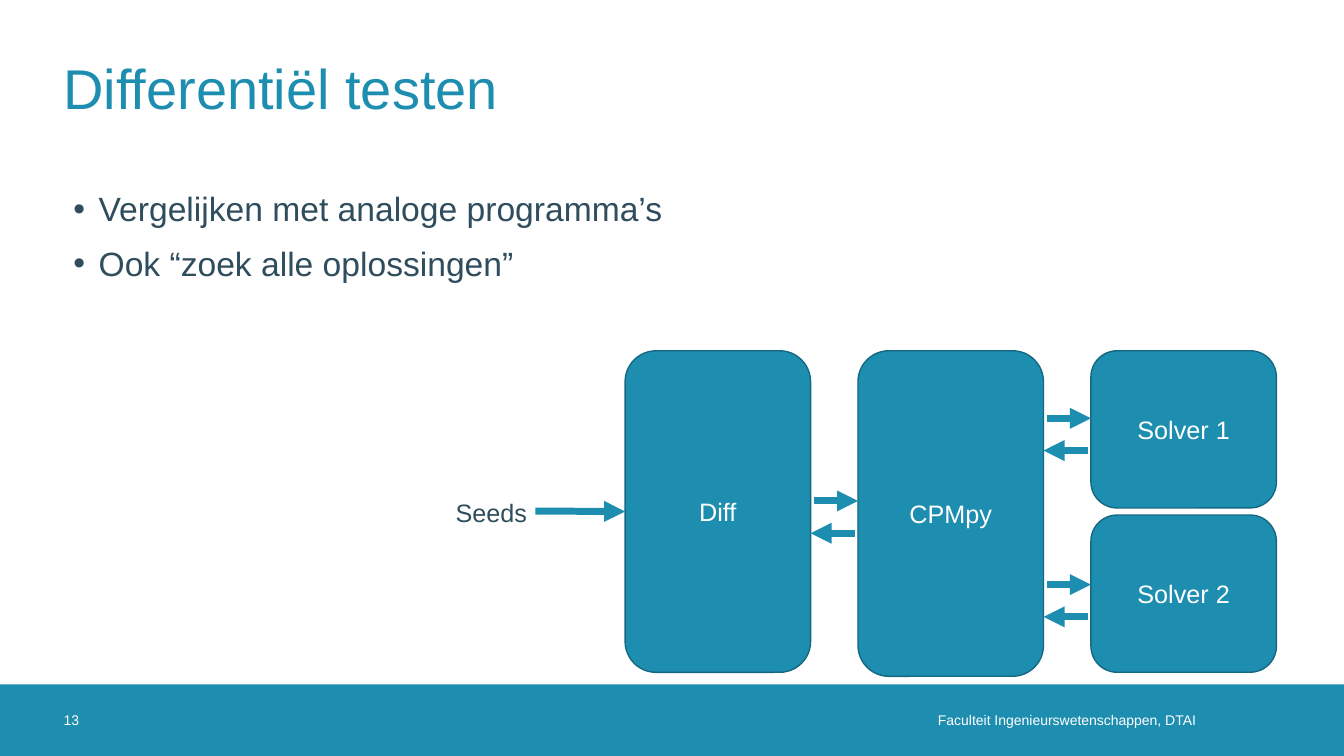
from lxml.etree import SubElement
from pptx import Presentation
from pptx.dml.color import RGBColor
from pptx.enum.shapes import MSO_CONNECTOR as Connector, MSO_SHAPE as Shape
from pptx.enum.text import MSO_ANCHOR as Anchor, PP_ALIGN as Align
from pptx.oxml.ns import qn
from pptx.util import Inches, Pt

COLORS = {"teal": "1D8DB0", "edge": "156882", "ink": "2F4D5D", "white": "FFFFFF"}
FONT = "Arial"
MARGIN = 0.63
FOOTER_TOP, FOOTER_HEIGHT = 6.79, 0.71
GRID_LEFT, GRID_TOP = 6.2, 3.48
COLUMN, ROW = 2.31, 1.63
BOX_WIDTH, BOX_HEIGHT = 1.84, 1.56
ARROW_LENGTH, ARROW_GAP = 0.44, 0.32


def color(name):
    return RGBColor.from_string(COLORS[name])


def add_span(para, text, size, ink):
    span = para.add_run()
    span.text = text
    span.font.name = FONT
    span.font.size = Pt(size)
    span.font.color.rgb = color(ink)


def set_frame(frame, anchor, insets):
    frame.word_wrap = True
    frame.vertical_anchor = anchor
    left, top, right, bottom = map(Inches, insets)
    frame.margin_left, frame.margin_top = left, top
    frame.margin_right, frame.margin_bottom = right, bottom


def add_label(page, area, text, size, ink, align=Align.LEFT,
              anchor=Anchor.MIDDLE, insets=(0, 0, 0, 0)):
    box = page.shapes.add_textbox(*map(Inches, area))
    set_frame(box.text_frame, anchor, insets)
    para = box.text_frame.paragraphs[0]
    para.alignment = align
    add_span(para, text, size, ink)


def add_title(page, text):
    title = page.shapes.title
    title.left, title.top, title.width, title.height = map(
        Inches, (MARGIN, 0.23, 12.07, 1.26))
    set_frame(title.text_frame, Anchor.MIDDLE, (0, 0, 0, 0))
    para = title.text_frame.paragraphs[0]
    para.alignment = Align.LEFT
    add_span(para, text, 40, "teal")


def add_bullets(page, area, items):
    frame = page.shapes.add_textbox(*map(Inches, area)).text_frame
    set_frame(frame, Anchor.TOP, (0.1, 0.05, 0.1, 0.05))
    for index, item in enumerate(items):
        para = frame.add_paragraph() if index else frame.paragraphs[0]
        if index:
            para.space_before = Pt(10)
        props = para._p.get_or_add_pPr()
        props.set("marL", str(Inches(0.25)))
        props.set("indent", str(-Inches(0.25)))
        SubElement(props, qn("a:buFont"), typeface=FONT)
        SubElement(props, qn("a:buChar"), char="•")
        add_span(para, item, 24, "ink")


def add_block(page, text, column, row=0, height=BOX_HEIGHT):
    area = (GRID_LEFT + column * COLUMN, GRID_TOP + row * ROW, BOX_WIDTH, height)
    block = page.shapes.add_shape(Shape.ROUNDED_RECTANGLE, *map(Inches, area))
    block.shadow.inherit = False
    block.fill.solid()
    block.fill.fore_color.rgb = color("teal")
    block.line.color.rgb = color("edge")
    block.line.width = Pt(1)
    block.text_frame.vertical_anchor = Anchor.MIDDLE
    para = block.text_frame.paragraphs[0]
    para.alignment = Align.CENTER
    add_span(para, text, 18, "white")
    return block


def add_arrow(page, start, end, y):
    arrow = page.shapes.add_connector(
        Connector.STRAIGHT, *map(Inches, (start, y, end, y)))
    arrow.line.color.rgb = color("teal")
    arrow.line.width = Pt(5)
    SubElement(arrow.line._get_or_add_ln(), qn("a:tailEnd"), type="triangle")
    SubElement(arrow._element.spPr, qn("a:effectLst"))
    return arrow


def add_exchange(page, column, y):
    right = GRID_LEFT + column * COLUMN
    left = right - COLUMN + BOX_WIDTH
    add_arrow(page, right - ARROW_LENGTH, right, y)
    add_arrow(page, left + ARROW_LENGTH, left, y + ARROW_GAP)


def add_footer(page, width):
    band = page.shapes.add_shape(
        Shape.RECTANGLE, 0, Inches(FOOTER_TOP), width, Inches(FOOTER_HEIGHT))
    band.shadow.inherit = False
    band.fill.solid()
    band.fill.fore_color.rgb = color("teal")
    band.line.fill.background()
    add_label(page, (6.6, FOOTER_TOP, 5.46, FOOTER_HEIGHT),
              "Faculteit Ingenieurswetenschappen, DTAI", 10, "white",
              align=Align.RIGHT, insets=(0, 0, 0.2, 0))
    add_label(page, (MARGIN, FOOTER_TOP, 0.71, FOOTER_HEIGHT), "13", 10, "white")


def main():
    deck = Presentation()
    deck.slide_width, deck.slide_height = Inches(13.33), Inches(7.5)
    page = deck.slides.add_slide(deck.slide_layouts[5])
    add_footer(page, deck.slide_width)
    add_title(page, "Differentiël testen")
    add_bullets(page, (MARGIN, 1.82, 12.22, 1.93),
                ["Vergelijken met analoge programma’s", "Ook “zoek alle oplossingen”"])

    diff = add_block(page, "Diff", 0, height=ROW + BOX_HEIGHT)
    add_block(page, "CPMpy", 1, height=3.23)
    for row in range(2):
        add_block(page, f"Solver {row + 1}", 2, row)
        add_exchange(page, 2, 4.15 + row * 1.65)
    add_exchange(page, 1, 4.97)

    add_label(page, (4.42, 4.88, 1.03, 0.4), "Seeds", 18, "ink",
              anchor=Anchor.TOP, insets=(0.1, 0.05, 0.1, 0.05))
    add_arrow(page, 5.31, GRID_LEFT, 5.07).end_connect(diff, 1)
    deck.save("out.pptx")


if __name__ == "__main__":
    main()
